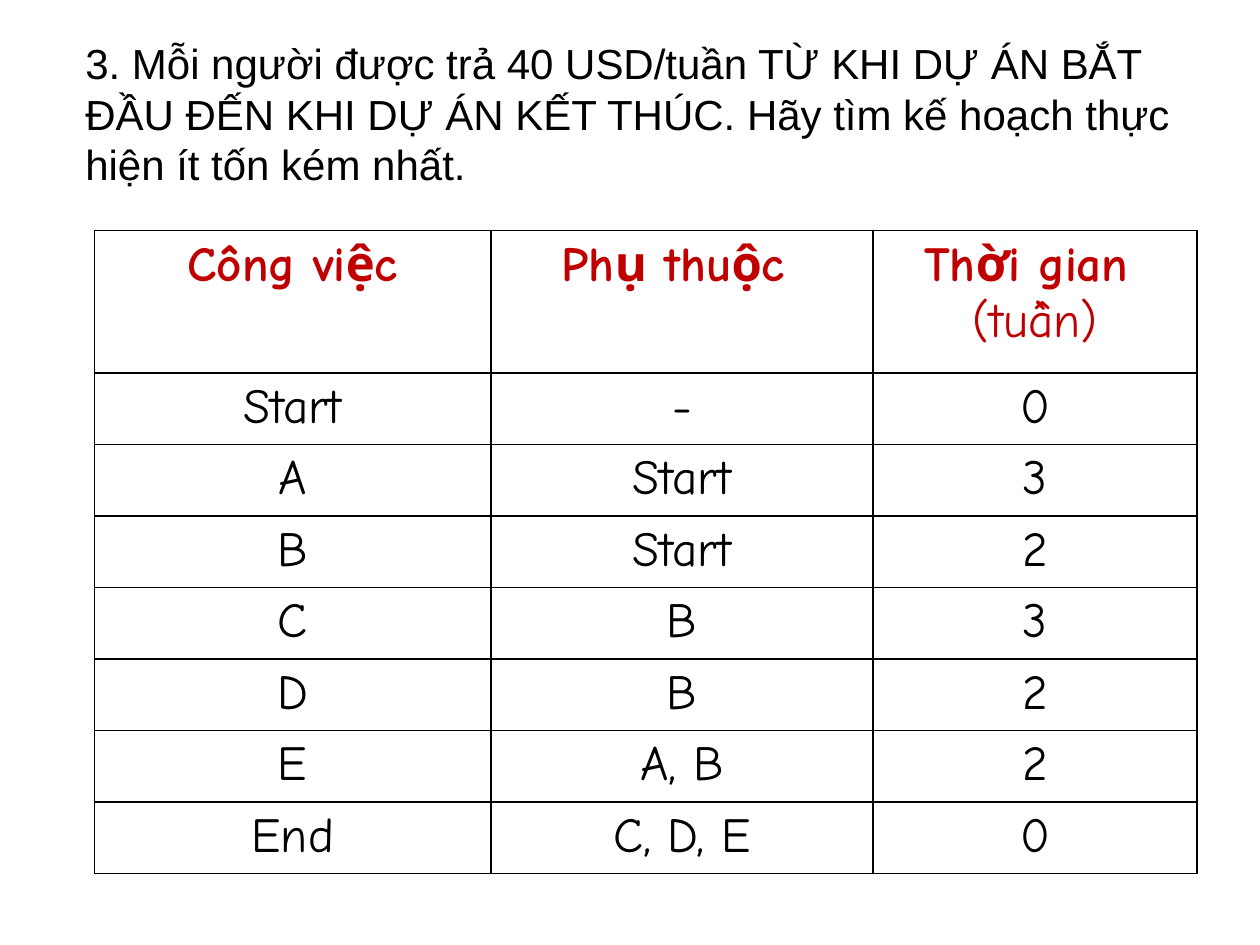
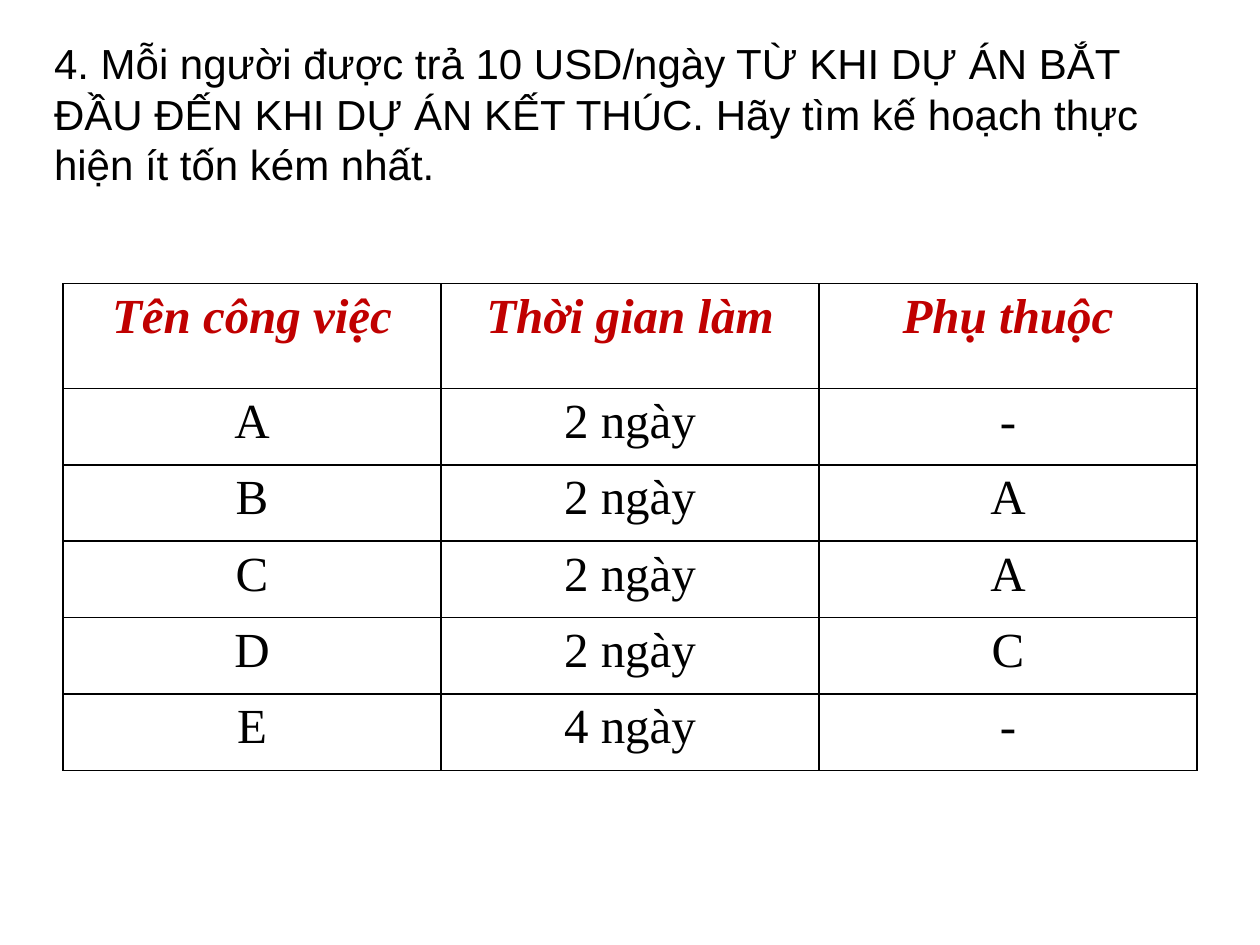
from dataclasses import dataclass

from lxml import etree
from pptx import Presentation, util as u
from pptx.dml.color import RGBColor
from pptx.enum import text
from pptx.oxml import ns
from pptx.slide import Slide
from pptx.table import _Cell


@dataclass(frozen=True)
class Theme:
    ink: str = "000000"
    header: str = "C00000"
    question_font: str = "Arial"
    question_size: int = 24
    table_size: int = 28
    border_width: float = 1


@dataclass(frozen=True)
class TaskTable:
    left: float
    top: float
    widths: tuple[float, ...]
    header_height: float
    row_height: float
    font: str
    italic_header: bool
    header: tuple[str, ...]
    tasks: tuple[tuple[str, ...], ...]


@dataclass(frozen=True)
class Exercise:
    left: float
    question: str
    table: TaskTable


THEME = Theme()
QUESTION_TOP, QUESTION_RIGHT, QUESTION_HEIGHT = 0.64, 24.77, 3.33
QUESTION = ("{}. Mỗi người được trả {} TỪ KHI DỰ ÁN BẮT ĐẦU ĐẾN KHI DỰ ÁN KẾT THÚC. "
            "Hãy tìm kế hoạch thực hiện ít tốn kém nhất.")

EXERCISES = (
    Exercise(1.47, QUESTION.format(3, "40 USD/tuần"), TaskTable(
        1.9, 4.65, (8, 7.7, 6.53), 2.87, 1.24, "Comic Neue", False,
        ("Công việc", "Phụ thuộc ", "Thời gian \n(tuần)"),
        (("Start", "-", "0"),
         ("A", "Start", "3"),
         ("B", "Start", "2"),
         ("C", "B", "3"),
         ("D", "B", "2"),
         ("E", "A, B", "2"),
         ("End", "C, D, E", "0")))),
    Exercise(0.84, QUESTION.format(4, "10 USD/ngày"), TaskTable(
        1.27, 5.72, (7.62,) * 3, 2.11, 1.54, "Times New Roman", True,
        ("Tên công việc", "Thời gian làm", "Phụ thuộc"),
        (("A", "2 ngày", "-"),
         ("B", "2 ngày", "A"),
         ("C", "2 ngày", "A"),
         ("D", "2 ngày", "C"),
         ("E", "4 ngày", "-")))),
)


def style_font(font, name: str, size: float, color: str,
               bold: bool = False, italic: bool = False) -> None:
    font.name, font.size = name, u.Pt(size)
    font.bold, font.italic = bold, italic
    font.color.rgb = RGBColor.from_string(color)


def outline_cell(cell: _Cell) -> None:
    """Give all four sides the same thin line and leave the cell unfilled."""
    tc_pr = cell._tc.get_or_add_tcPr()
    for side in ("lnL", "lnR", "lnT", "lnB"):
        ln = etree.SubElement(tc_pr, ns.qn(f"a:{side}"), w=str(u.Pt(THEME.border_width)))
        fill = etree.SubElement(ln, ns.qn("a:solidFill"))
        etree.SubElement(fill, ns.qn("a:srgbClr"), val=THEME.ink)
    cell.fill.background()


def add_question(s: Slide, exercise: Exercise) -> None:
    sp = s.shapes.add_textbox(u.Cm(exercise.left), u.Cm(QUESTION_TOP),
                              u.Cm(QUESTION_RIGHT - exercise.left), u.Cm(QUESTION_HEIGHT))
    tf = sp.text_frame
    tf.word_wrap = True
    tf.text = exercise.question
    style_font(tf.paragraphs[0].runs[0].font, THEME.question_font,
               THEME.question_size, THEME.ink)


def fill_cell(cell: _Cell, value: str, spec: TaskTable, is_header: bool) -> None:
    cell.text_frame.text = value
    for i, p in enumerate(cell.text_frame.paragraphs):
        p.alignment = text.PP_ALIGN.CENTER
        # Only the first line of a heading is bold; the unit below it is plain
        style_font(p.runs[0].font, spec.font, THEME.table_size,
                   THEME.header if is_header else THEME.ink,
                   is_header and i == 0, is_header and spec.italic_header)
    outline_cell(cell)


def add_task_table(s: Slide, spec: TaskTable) -> None:
    rows = (spec.header, *spec.tasks)
    heights = [spec.header_height] + [spec.row_height] * len(spec.tasks)
    table = s.shapes.add_table(len(rows), len(spec.widths), u.Cm(spec.left), u.Cm(spec.top),
                               u.Cm(sum(spec.widths)), u.Cm(sum(heights))).table
    table.first_row = table.horz_banding = False
    for column, width in zip(table.columns, spec.widths):
        column.width = u.Cm(width)
    for r, (values, height) in enumerate(zip(rows, heights)):
        table.rows[r].height = u.Cm(height)
        for c, value in enumerate(values):
            fill_cell(table.cell(r, c), value, spec, r == 0)


def main() -> None:
    prs = Presentation()
    prs.slide_width, prs.slide_height = u.Cm(25.4), u.Cm(19.05)
    # One slide per exercise: question above, task table below
    for exercise in EXERCISES:
        s = prs.slides.add_slide(prs.slide_layouts[6])
        add_question(s, exercise)
        add_task_table(s, exercise.table)
    prs.save("out.pptx")


if __name__ == "__main__":
    main()
